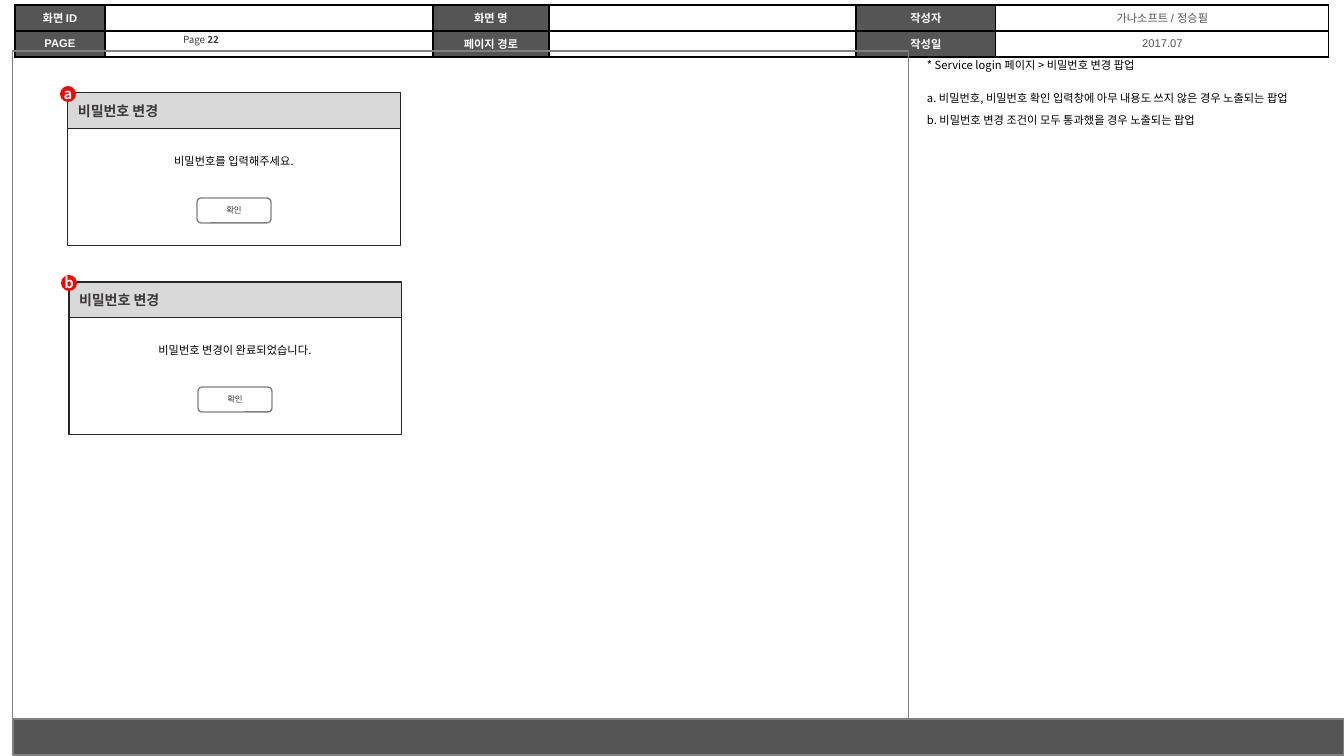
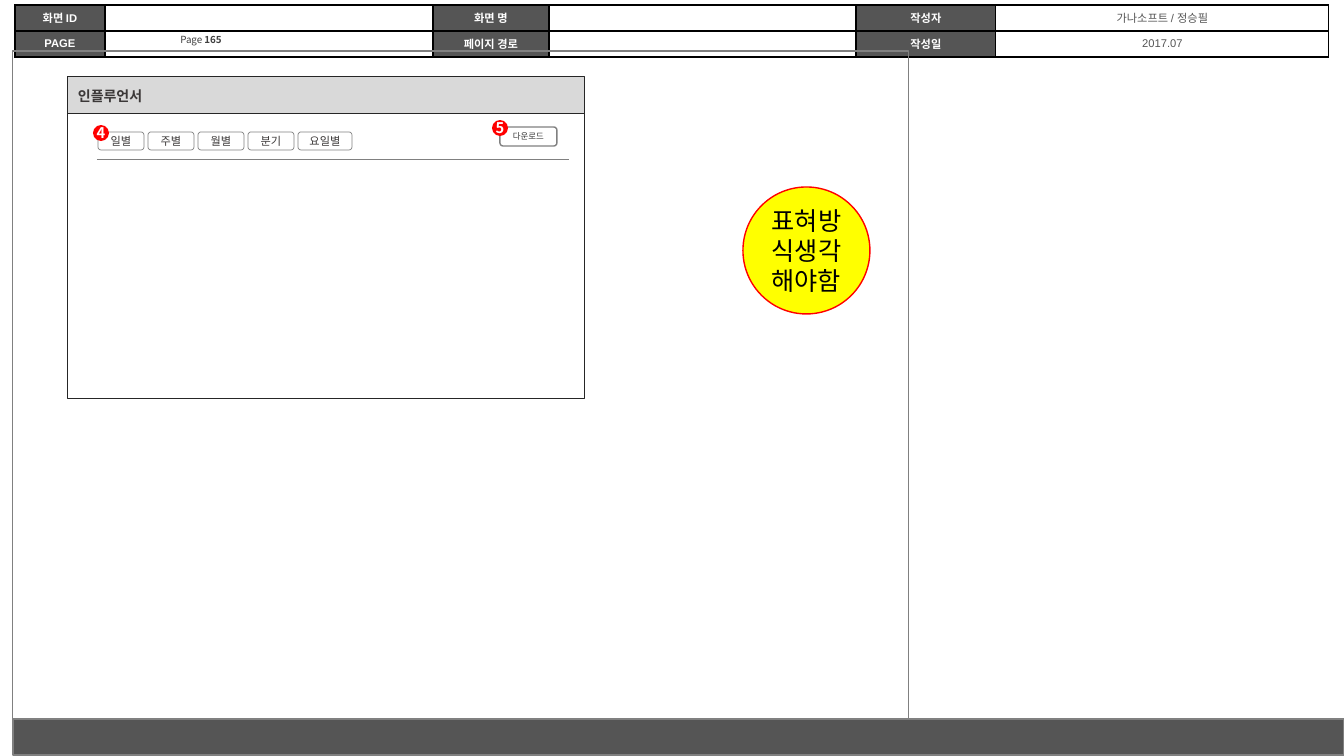
from lxml import etree
from pptx import Presentation
from pptx import util as u
from pptx.dml.color import RGBColor
from pptx.enum import shapes, text
from pptx.oxml.ns import qn

PX = 914400 / 100.8  # EMU in one px
HEX = {
    "dark": "555555", "gray": "808080", "white": "FFFFFF", "black": "000000",
    "bar": "D9D9D9", "edge": "262626", "title": "3B3838", "label": "373737",
    "page": "404040", "red": "FF0000", "yellow": "FFFF00",
}
RGB = {name: RGBColor.from_string(code) for name, code in HEX.items()}
FONT = "Noto Sans CJK KR"
KIND = shapes.MSO_SHAPE
LEFT, MID = text.PP_ALIGN.LEFT, text.PP_ALIGN.CENTER


def write(para, words, size, color, bold=False, font=FONT):
    run = para.add_run()
    run.text = words
    run.font.size = u.Pt(size)
    run.font.bold = bold
    run.font.name = font
    run.font.color.rgb = RGB[color]
    asian = etree.SubElement(run.font._element, qn("a:ea"))
    asian.set("typeface", FONT)


def box(slide, kind, area, fill=None, line=None, width=1, runs=(),
        align=MID, inset=0, wrap=False):
    area = [round(n * PX) for n in area]
    if kind is None:
        item = slide.shapes.add_textbox(*area)
    else:
        item = slide.shapes.add_shape(kind, *area)
        item.shadow.inherit = False
    if fill:
        item.fill.solid()
        item.fill.fore_color.rgb = RGB[fill]
    else:
        item.fill.background()
    if line:
        item.line.color.rgb = RGB[line]
        item.line.width = u.Pt(width)
    else:
        item.line.fill.background()
    frame = item.text_frame
    frame.word_wrap = wrap
    frame.vertical_anchor = text.MSO_ANCHOR.MIDDLE
    frame.margin_left = frame.margin_right = round(inset * PX)
    frame.margin_top = frame.margin_bottom = 0
    para = frame.paragraphs[0]
    para.alignment = align
    for run in runs:
        write(para, *run)
    return item


deck = Presentation()
deck.slide_width, deck.slide_height = round(1344 * PX), round(756 * PX)

# Shared header table, frame and footer band
COLS = [90, 328, 116, 307, 140, 333]
ROWS = [
    ["화면 ID", "", "화면 명", "", "작성자", "가나소프트 / 정승필"],
    ["PAGE", "", "페이지 경로", "", "작성일", "2017.07"],
]
pages = []
for number in ("22", "165"):
    slide = deck.slides.add_slide(deck.slide_layouts[6])
    pages.append(slide)
    area = [round(n * PX) for n in (15, 5, sum(COLS), 52)]
    table = slide.shapes.add_table(len(ROWS), len(COLS), *area).table
    table.first_row = table.horz_banding = False
    for col, wide in zip(table.columns, COLS):
        col.width = round(wide * PX)
    for r, row in enumerate(ROWS):
        table.rows[r].height = round(26 * PX)
        for c, words in enumerate(row):
            cell = table.cell(r, c)
            head = c % 2 == 0
            cell.vertical_anchor = text.MSO_ANCHOR.MIDDLE
            cell.margin_top = cell.margin_bottom = round(4 * PX)
            if head:
                cell.fill.solid()
                cell.fill.fore_color.rgb = RGB["dark"]
            else:
                cell.fill.background()
            para = cell.text_frame.paragraphs[0]
            para.alignment = MID
            if words:
                write(para, words, 8, "white" if head else "dark", head, "Arial")
            else:
                etree.SubElement(para._p, qn("a:endParaRPr")).set("sz", "800")
            # Black cell borders
            props = cell._tc.get_or_add_tcPr()
            for i, side in enumerate(("lnL", "lnR", "lnT", "lnB")):
                edge = etree.Element(qn("a:" + side), w=str(u.Pt(1)))
                paint = etree.SubElement(edge, qn("a:solidFill"))
                etree.SubElement(paint, qn("a:srgbClr")).set("val", HEX["black"])
                props.insert(i, edge)
    box(slide, KIND.RECTANGLE, (13, 51, 896, 668), line="gray", width=0.75)
    box(slide, KIND.RECTANGLE, (13, 719, 1331, 36), "dark", "gray")
    box(slide, None, (129, 27, 144, 25),
        runs=[("Page ", 7, "page"), (number, 7, "page", True)])

popup, chart = pages

# Popup slide: description
notes = box(popup, None, (917, 55, 411, 662), align=LEFT, inset=10, wrap=True)
frame = notes.text_frame
frame.vertical_anchor = text.MSO_ANCHOR.TOP
frame.margin_top = round(5 * PX)
LINES = [
    ("* Service login 페이지 > 비밀번호 변경 팝업", 0),
    ("a. 비밀번호, 비밀번호 확인 입력창에 아무 내용도 쓰지 않은 경우 노출되는 팝업", 15),
    ("b. 비밀번호 변경 조건이 모두 통과했을 경우 노출되는 팝업", 7),
]
for i, (words, gap) in enumerate(LINES):
    para = frame.add_paragraph() if i else frame.paragraphs[0]
    para.line_spacing = 0.9
    if gap:
        para.space_before = u.Pt(gap)
    write(para, words, 8, "black")

# Popup slide: two dialogs
DIALOGS = [("a", "비밀번호를 입력해주세요."), ("b", "비밀번호 변경이 완료되었습니다.")]
marks = []
for i, (mark, words) in enumerate(DIALOGS):
    x, y = 68 + i, 93 + 189 * i
    box(popup, None, (x - 1, y + 56, 334, 24), runs=[(words, 8, "black")])
    box(popup, KIND.RECTANGLE, (x, y, 333, 36), "bar", "edge", 0.75,
        [("비밀번호 변경", 10, "title", True)], LEFT, 10)
    box(popup, KIND.RECTANGLE, (x, y + 36, 333, 117), line="edge", width=0.75)
    box(popup, KIND.ROUNDED_RECTANGLE, (x + 129, y + 105, 74, 25), "white", "gray",
        runs=[("확인", 6, "label")])
    marks.append((popup, mark, x - 8, y - 7))

# Chart slide: panel with rule and buttons
box(chart, KIND.RECTANGLE, (68, 77, 517, 37), "bar", "edge", 0.75,
    [("인플루언서", 10, "title", True)], LEFT, 10)
box(chart, KIND.RECTANGLE, (68, 114, 517, 285), line="edge", width=0.75)
ends = [round(n * PX) for n in (97, 159, 569, 159)]
rule = chart.shapes.add_connector(shapes.MSO_CONNECTOR.STRAIGHT, *ends)
rule.line.color.rgb = RGB["gray"]
rule.line.width = u.Pt(0.5)
etree.SubElement(rule._element.spPr, qn("a:effectLst"))
box(chart, KIND.ROUNDED_RECTANGLE, (500, 127, 57, 19), "white", "gray",
    runs=[("다운로드", 6, "label")])
for i, words in enumerate(["일별", "주별", "월별", "분기", "요일별"]):
    wide = 46 if len(words) == 2 else 54
    box(chart, KIND.ROUNDED_RECTANGLE, (98 + 50 * i, 132, wide, 18),
        line="gray", width=0.5, runs=[(words, 8, "title")])

# Numbered badges
marks += [(chart, "5", 492, 120), (chart, "4", 93, 125)]
for slide, mark, x, y in marks:
    box(slide, KIND.OVAL, (x, y, 16, 16), "red", runs=[(mark, 10.5, "white", True)])

# Chart slide: reminder circle
box(chart, KIND.OVAL, (743, 187, 127, 127), "yellow", "red",
    runs=[("표혀방식생각해야함", 18, "black")], inset=4, wrap=True)

deck.save("out.pptx")
